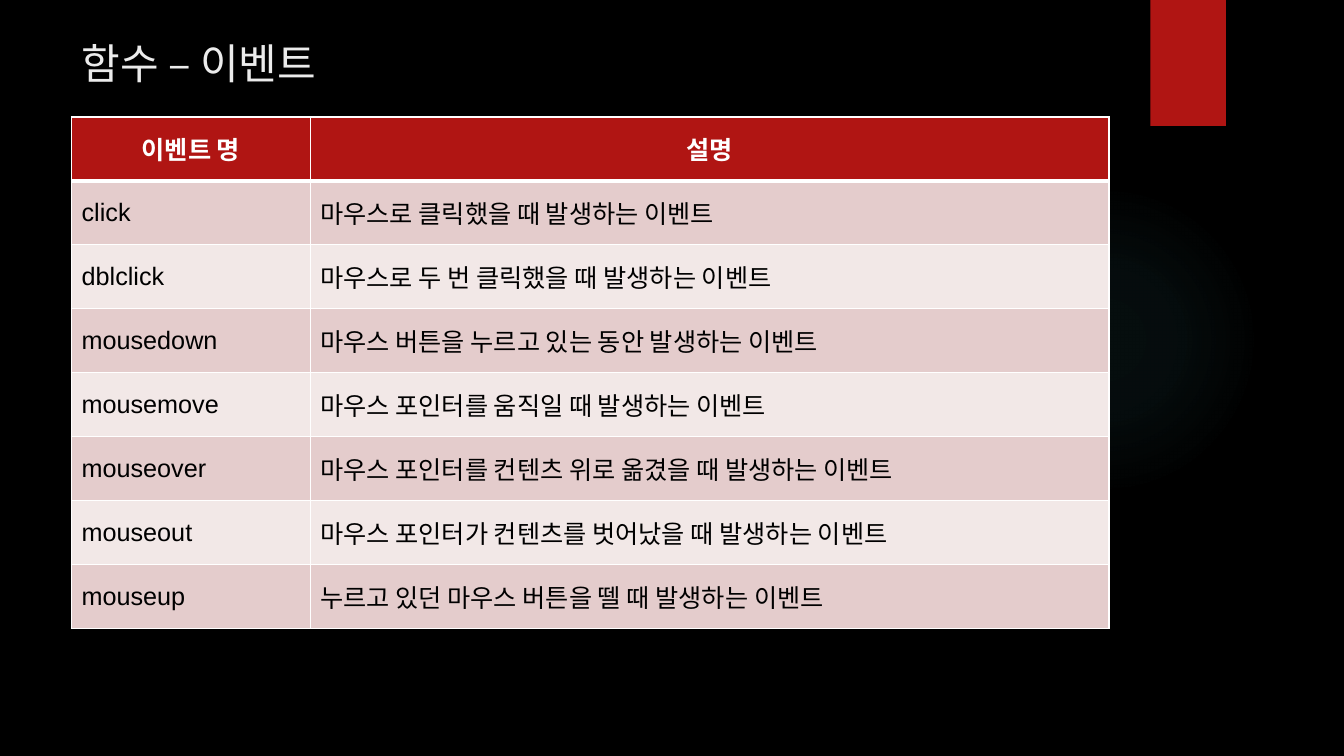
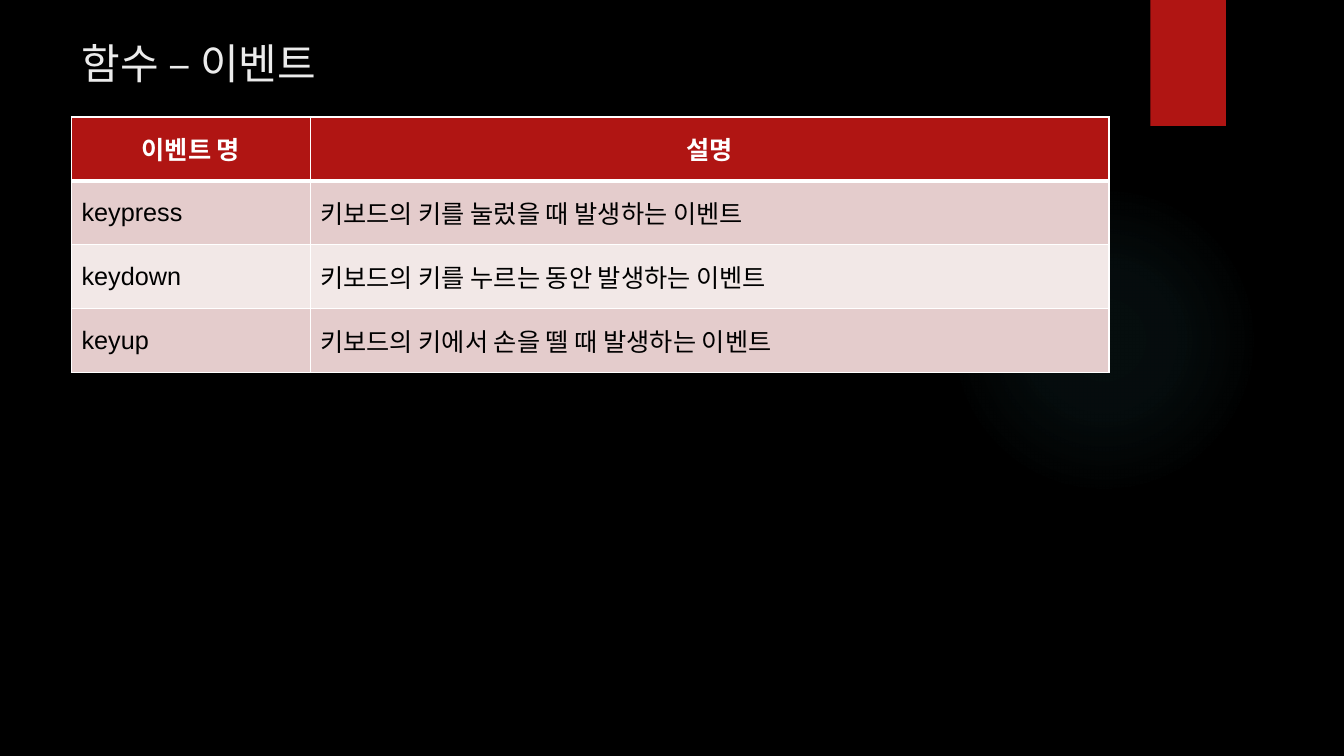
from lxml import etree
from pptx import Presentation
from pptx import util as u
from pptx.dml.color import RGBColor
from pptx.enum import shapes, text
from pptx.oxml import parse_xml
from pptx.oxml.ns import nsdecls, qn

BLACK = RGBColor(0x00, 0x00, 0x00)
WHITE = RGBColor(0xFF, 0xFF, 0xFF)
RED = RGBColor(0xB0, 0x15, 0x13)
TITLE_GREY = RGBColor(0xEB, 0xEB, 0xEB)
BANDS = (RGBColor(0xE4, 0xCC, 0xCC), RGBColor(0xF2, 0xE8, 0xE7))
GLOW = RGBColor(0x50, 0xB9, 0xC1)
GLOW_STOPS = ((0, 7), (36, 6), (69, 0))  # position %, opacity %

HEAD_FONT, BODY_FONT = "Quicksand", "Arial"

# Boxes in inches: left, top, width, height
GLOW_BOX = (9.41, 1.83, 3.08, 3.08)
TAB_BOX = (11.41, 0, 0.75, 1.25)
TITLE_BOX = (0.71, 0.32, 10.29, 0.84)
TABLE_BOX = (0.71, 1.16, 10.29, 5.08)
TABLE_ROWS = 8  # rows that fill TABLE_BOX
NAME_SHARE = 0.23  # width of the name column

TITLE = "함수 – 이벤트"
HEADER = ("이벤트 명", "설명")
MOUSE_EVENTS = (
    ("click", "마우스로 클릭했을 때 발생하는 이벤트"),
    ("dblclick", "마우스로 두 번 클릭했을 때 발생하는 이벤트"),
    ("mousedown", "마우스 버튼을 누르고 있는 동안 발생하는 이벤트"),
    ("mousemove", "마우스 포인터를 움직일 때 발생하는 이벤트"),
    ("mouseover", "마우스 포인터를 컨텐츠 위로 옮겼을 때 발생하는 이벤트"),
    ("mouseout", "마우스 포인터가 컨텐츠를 벗어났을 때 발생하는 이벤트"),
    ("mouseup", "누르고 있던 마우스 버튼을 뗄 때 발생하는 이벤트"),
)
KEY_EVENTS = (
    ("keypress", "키보드의 키를 눌렀을 때 발생하는 이벤트"),
    ("keydown", "키보드의 키를 누르는 동안 발생하는 이벤트"),
    ("keyup", "키보드의 키에서 손을 뗄 때 발생하는 이벤트"),
)


def inches(box):
    return [u.Inches(v) for v in box]


def add_run(p, words, size, font, color, bold=False):
    r = p.add_run()
    r.text = words
    r.font.size, r.font.name, r.font.bold = u.Pt(size), font, bold
    r.font.color.rgb = color


def add_plain(s, kind, box):
    sp = s.shapes.add_shape(kind, *inches(box))
    sp.shadow.inherit = False
    sp.line.fill.background()
    return sp


def add_glow(s, box):
    sp = add_plain(s, shapes.MSO_SHAPE.OVAL, box)
    stops = "".join(
        f'<a:gs pos="{pos * 1000}"><a:srgbClr val="{GLOW}">'
        f'<a:alpha val="{alpha * 1000}"/></a:srgbClr></a:gs>'
        for pos, alpha in GLOW_STOPS)
    grad = parse_xml(
        f'<a:gradFill {nsdecls("a")}><a:gsLst>{stops}</a:gsLst><a:path path="circle">'
        '<a:fillToRect l="50000" t="50000" r="50000" b="50000"/></a:path></a:gradFill>')
    sp.element.spPr.find(qn("a:prstGeom")).addnext(grad)


def add_tab(s, box):
    sp = add_plain(s, shapes.MSO_SHAPE.RECTANGLE, box)
    sp.fill.solid()
    sp.fill.fore_color.rgb = RED


def add_title(s, box, words):
    tf = s.shapes.add_textbox(*inches(box)).text_frame
    tf.word_wrap = True
    tf.vertical_anchor = text.MSO_ANCHOR.TOP
    add_run(tf.paragraphs[0], words, 30, HEAD_FONT, TITLE_GREY)


def set_borders(cell, **widths):
    """Draw white borders; widths are points by side: L, R, T, B."""
    tc_pr = cell._tc.get_or_add_tcPr()
    for i, side in enumerate("LRTB"):
        ln = etree.Element(qn(f"a:ln{side}"), w=str(u.Pt(widths.get(side, 1))))
        fill = etree.SubElement(ln, qn("a:solidFill"))
        etree.SubElement(fill, qn("a:srgbClr"), val=str(WHITE))
        tc_pr.insert(i, ln)


def add_event_table(s, box, events):
    left, top, width, height = inches(box)
    row_h = height // TABLE_ROWS
    rows = (HEADER, *events)
    table = s.shapes.add_table(len(rows), 2, left, top, width, row_h * len(rows)).table
    table.columns[0].width = int(width * NAME_SHARE)
    table.columns[1].width = width - table.columns[0].width
    for i, row in enumerate(rows):
        for j, words in enumerate(row):
            cell = table.cell(i, j)
            cell.vertical_anchor = text.MSO_ANCHOR.MIDDLE
            cell.fill.solid()
            p = cell.text_frame.paragraphs[0]
            if i == 0:
                cell.fill.fore_color.rgb = RED
                p.alignment = text.PP_ALIGN.CENTER
                add_run(p, words, 18, HEAD_FONT, WHITE, bold=True)
                set_borders(cell, B=3)
            else:
                cell.fill.fore_color.rgb = BANDS[(i - 1) % 2]
                add_run(p, words, 18, BODY_FONT, BLACK)
                set_borders(cell, T=3 if i == 1 else 1)


def add_event_slide(prs, events):
    s = prs.slides.add_slide(prs.slide_layouts[6])
    add_glow(s, GLOW_BOX)
    add_tab(s, TAB_BOX)
    add_title(s, TITLE_BOX, TITLE)
    add_event_table(s, TABLE_BOX, events)


def main():
    prs = Presentation()
    prs.slide_width, prs.slide_height = u.Inches(13.33), u.Inches(7.5)
    # Shared black background
    bg = prs.slide_master.background.fill
    bg.solid()
    bg.fore_color.rgb = BLACK
    for events in (MOUSE_EVENTS, KEY_EVENTS):
        add_event_slide(prs, events)
    prs.save("out.pptx")


if __name__ == "__main__":
    main()
